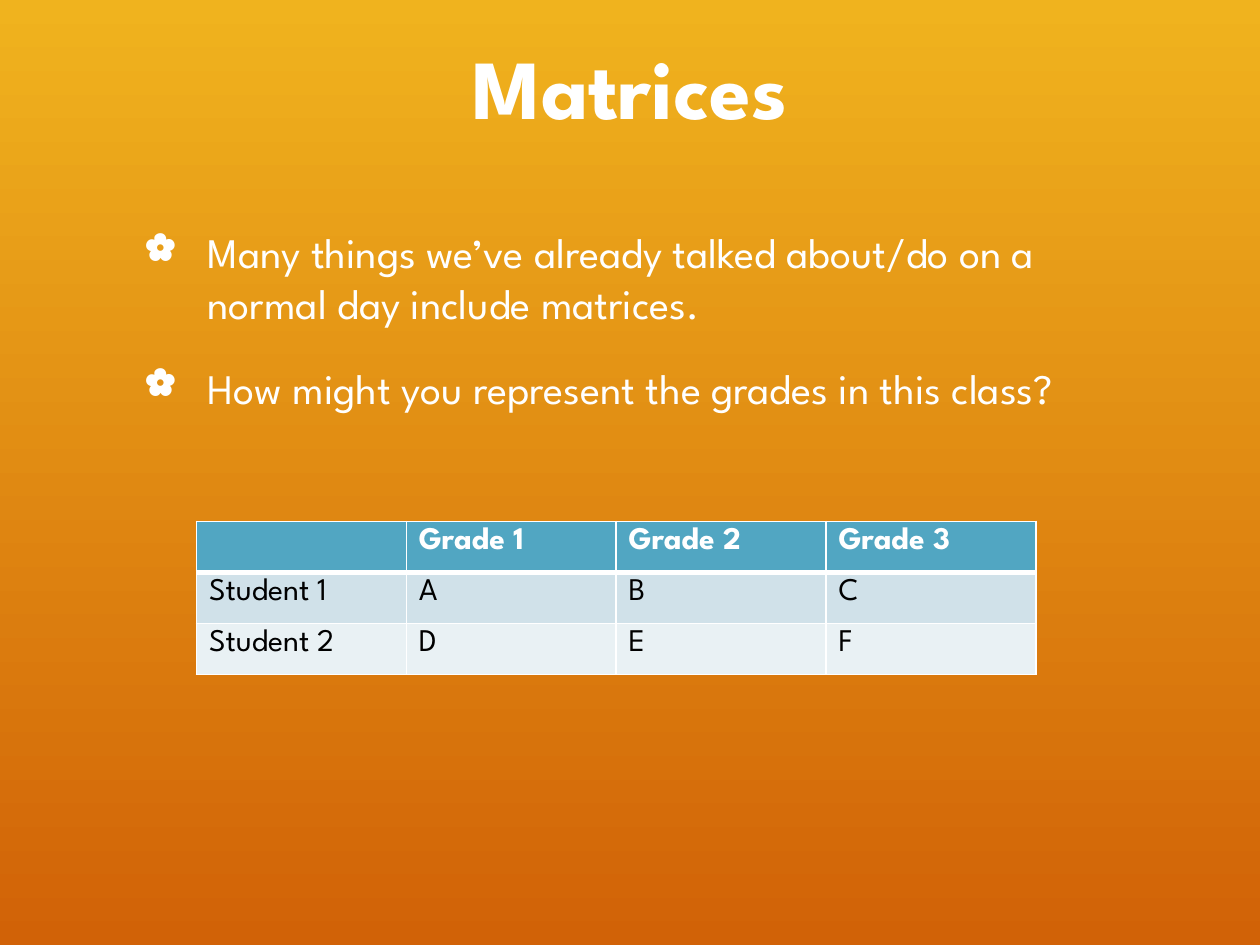
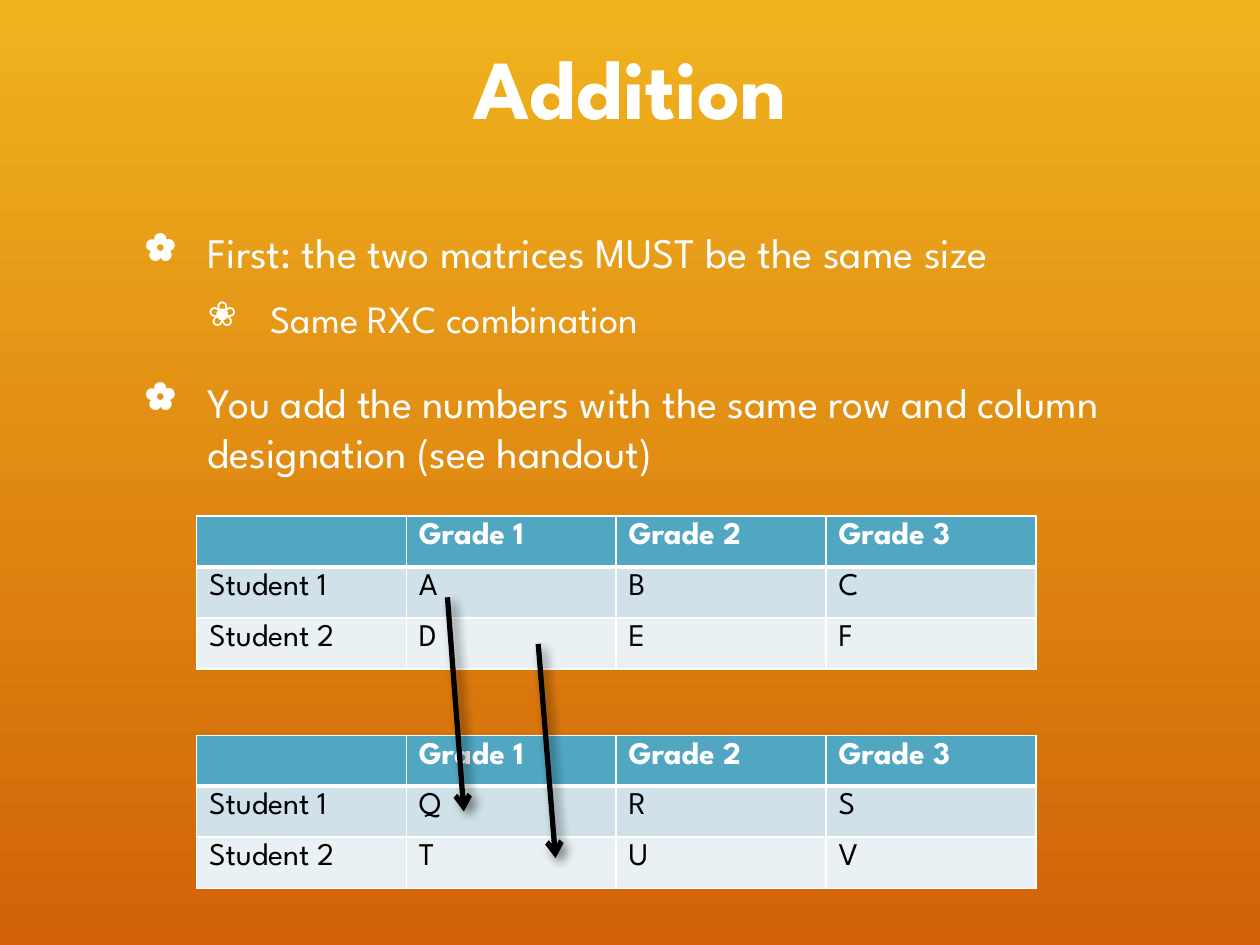
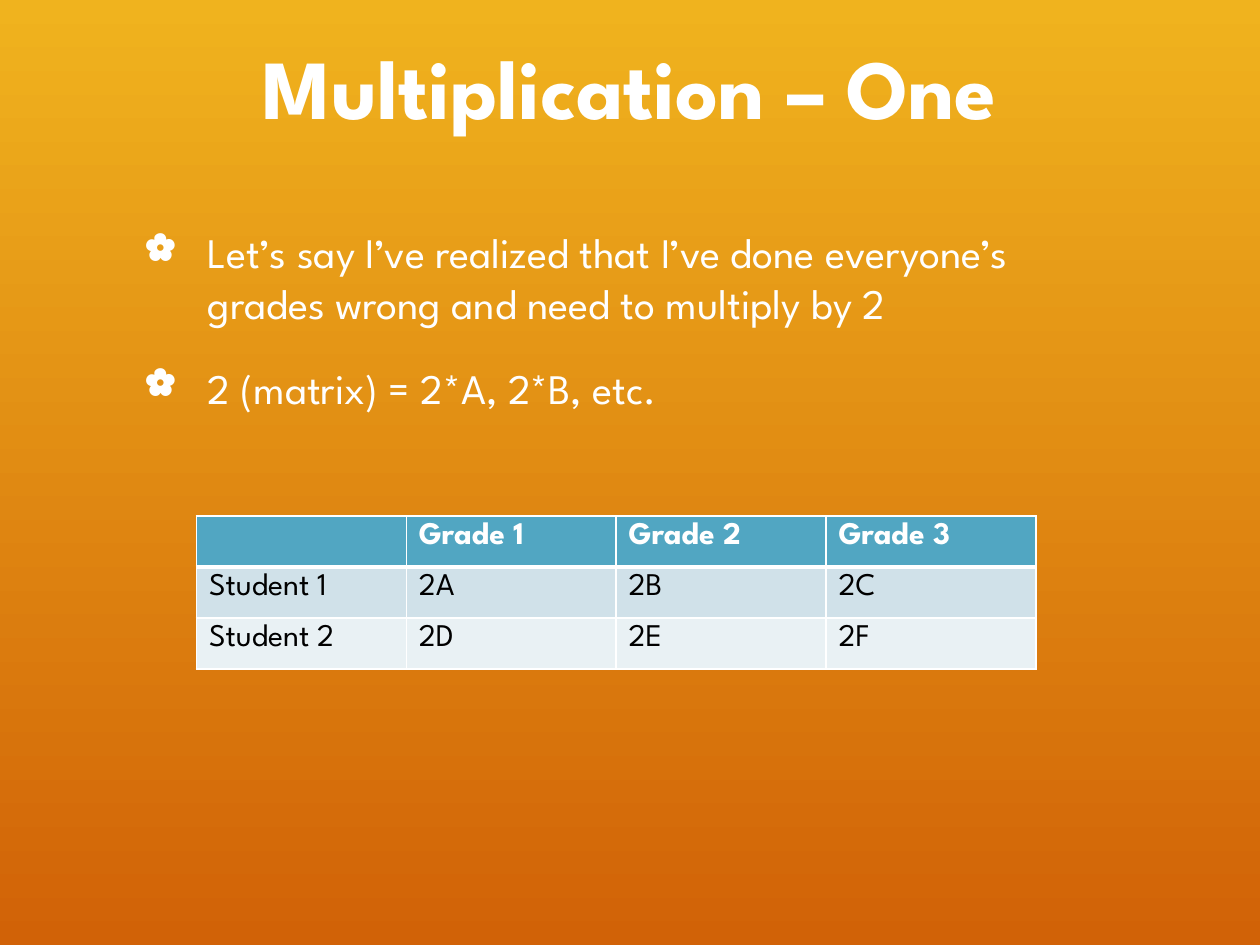
import pptx
import pptx.dml.color
import pptx.enum.dml
import pptx.enum.shapes
import pptx.enum.text
import pptx.oxml
import pptx.oxml.ns
import pptx.util

Cm = pptx.util.Cm
Pt = pptx.util.Pt

FONT = "League Spartan"
WHITE, BLACK = "FFFFFF", "000000"
SKY_TOP, SKY_BOTTOM = "F0B31E", "D16207"
HEADER_FILL = "51A6C2"
BAND_FILLS = ["D0E1E9", "E9F1F4"]
BULLETS = [("\u273f", 24, 20), ("\u2740", 22, 10)]
INDENT = 1.27
TABLE_LEFT, COLUMN_WIDTH, ROW_HEIGHT = 3.96, 4.23, 1.03
HEADINGS = ["", "Grade 1", "Grade 2", "Grade 3"]


def color(value):
    """Turn a hex string into a colour."""
    return pptx.dml.color.RGBColor.from_string(value)


def add_xml(parent, tag, **attributes):
    """Append a drawing element with attributes and return it."""
    child = pptx.oxml.parse_xml(f"<a:{tag} {pptx.oxml.ns.nsdecls('a')}/>")
    for name, value in attributes.items():
        child.set(name, str(value))
    parent.append(child)
    return child


def add_run(para, text, size, fill=WHITE, bold=False):
    """Add one run in the deck's font."""
    run = para.add_run()
    run.text = text
    run.font.name = FONT
    run.font.size = Pt(size)
    run.font.bold = bold
    run.font.color.rgb = color(fill)


def add_box(page, left, top, width, height):
    """Add a wrapping text box and return its text frame."""
    box = page.shapes.add_textbox(Cm(left), Cm(top), Cm(width), Cm(height))
    box.text_frame.word_wrap = True
    return box.text_frame


def add_title(page, text):
    """Add the centred slide title."""
    frame = add_box(page, 2.17, 0.25, 21.06, 3.18)
    frame.vertical_anchor = pptx.enum.text.MSO_ANCHOR.MIDDLE
    para = frame.paragraphs[0]
    para.alignment = pptx.enum.text.PP_ALIGN.CENTER
    para.line_spacing = 0.95
    add_run(para, text, 48, bold=True)


def add_bullets(page, items):
    """Add the body list from pairs of level and text."""
    frame = add_box(page, 2.67, 4.45, 20.09, 11.91)
    for index, (level, text) in enumerate(items):
        para = frame.add_paragraph() if index else frame.paragraphs[0]
        symbol, size, space = BULLETS[level]
        para.level = level
        para.space_before = Pt(space)
        properties = para._p.get_or_add_pPr()
        properties.set("marL", str(Cm(INDENT * (level + 1))))
        properties.set("indent", str(-Cm(INDENT)))
        add_xml(properties, "buSzPct", val=90000)
        add_xml(properties, "buChar", char=symbol)
        add_run(para, text, size)


def set_borders(cell, top, bottom):
    """Draw white cell borders with the given top and bottom widths."""
    properties = cell._tc.get_or_add_tcPr()
    for side, width in [("L", 1), ("R", 1), ("T", top), ("B", bottom)]:
        line = add_xml(properties, f"ln{side}", w=Pt(width))
        add_xml(add_xml(line, "solidFill"), "srgbClr", val=WHITE)


def fill_cell(cell, text, row):
    """Style one table cell by its row and write its text."""
    header = row == 0
    set_borders(cell, 3 if row == 1 else 1, 3 if header else 1)
    cell.fill.solid()
    cell.fill.fore_color.rgb = color(HEADER_FILL if header else BAND_FILLS[row - 1])
    para = cell.text_frame.paragraphs[0]
    if text:
        add_run(para, text, 18, WHITE if header else BLACK, header)
    else:
        ending = add_xml(para._p, "endParaRPr", sz=1800)
        add_xml(ending, "latin", typeface=FONT)


def add_grades(page, top, grades, header_height=ROW_HEIGHT):
    """Add a grade table with one row for each student."""
    rows = [HEADINGS]
    rows += [[f"Student {n}", *marks.split()] for n, marks in enumerate(grades, 1)]
    heights = [header_height] + [ROW_HEIGHT] * len(grades)
    frame = page.shapes.add_table(
        len(rows), len(HEADINGS), Cm(TABLE_LEFT), Cm(top),
        Cm(COLUMN_WIDTH * len(HEADINGS)), Cm(ROW_HEIGHT * len(rows)))
    table = frame.table
    for column in table.columns:
        column.width = Cm(COLUMN_WIDTH)
    for row, texts in enumerate(rows):
        table.rows[row].height = Cm(heights[row])
        for column, text in enumerate(texts):
            fill_cell(table.cell(row, column), text, row)
    frame.height = Cm(ROW_HEIGHT * len(rows))


def add_arrow(page, start, end):
    """Add a black arrow with a soft shadow."""
    arrow = page.shapes.add_connector(
        pptx.enum.shapes.MSO_CONNECTOR.STRAIGHT,
        Cm(start[0]), Cm(start[1]), Cm(end[0]), Cm(end[1]))
    arrow.line.color.rgb = color(BLACK)
    arrow.line.width = Pt(3)
    add_xml(arrow.line._get_or_add_ln(), "tailEnd", type="arrow")
    effects = add_xml(arrow._element.spPr, "effectLst")
    shadow = add_xml(effects, "outerShdw", blurRad=Pt(6), dist=Pt(4), dir=2700000)
    add_xml(add_xml(shadow, "srgbClr", val=BLACK), "alpha", val=50000)


def paint_background(master):
    """Give every slide the same top-to-bottom gradient."""
    fill = master.background.fill
    fill.gradient()
    fill.gradient_angle = 270
    for stop, value, position in zip(fill.gradient_stops, [SKY_TOP, SKY_BOTTOM], [0, 1]):
        stop.color.rgb = color(value)
        stop.position = position


def add_page(deck, title, items):
    """Add a slide with its title and list."""
    page = deck.slides.add_slide(deck.slide_layouts[6])
    add_title(page, title)
    add_bullets(page, items)
    return page


def main():
    """Build and save the deck."""
    deck = pptx.Presentation()
    deck.slide_width, deck.slide_height = Cm(25.4), Cm(19.05)
    paint_background(deck.slide_master)

    page = add_page(deck, "Matrices", [
        (0, "Many things we’ve already talked about/do on a normal day include matrices."),
        (0, "How might you represent the grades in this class?")])
    add_grades(page, 10.51, ["A B C", "D E F"])

    page = add_page(deck, "Addition", [
        (0, "First: the two matrices MUST be the same size"),
        (1, "Same RXC combination"),
        (0, "You add the numbers with the same row and column designation (see handout)")])
    add_grades(page, 10.4, ["A B C", "D E F"])
    add_grades(page, 14.83, ["Q R S", "T U V"], header_height=0)
    add_arrow(page, (9.02, 12.04), (9.35, 16.36))
    add_arrow(page, (10.85, 12.98), (11.2, 17.3))

    page = add_page(deck, "Multiplication – One", [
        (0, "Let’s say I’ve realized that I’ve done everyone’s grades wrong and need to multiply by 2"),
        (0, "2 (matrix) = 2*A, 2*B, etc.")])
    add_grades(page, 10.4, ["2A 2B 2C", "2D 2E 2F"])

    deck.save("out.pptx")


if __name__ == "__main__":
    main()
